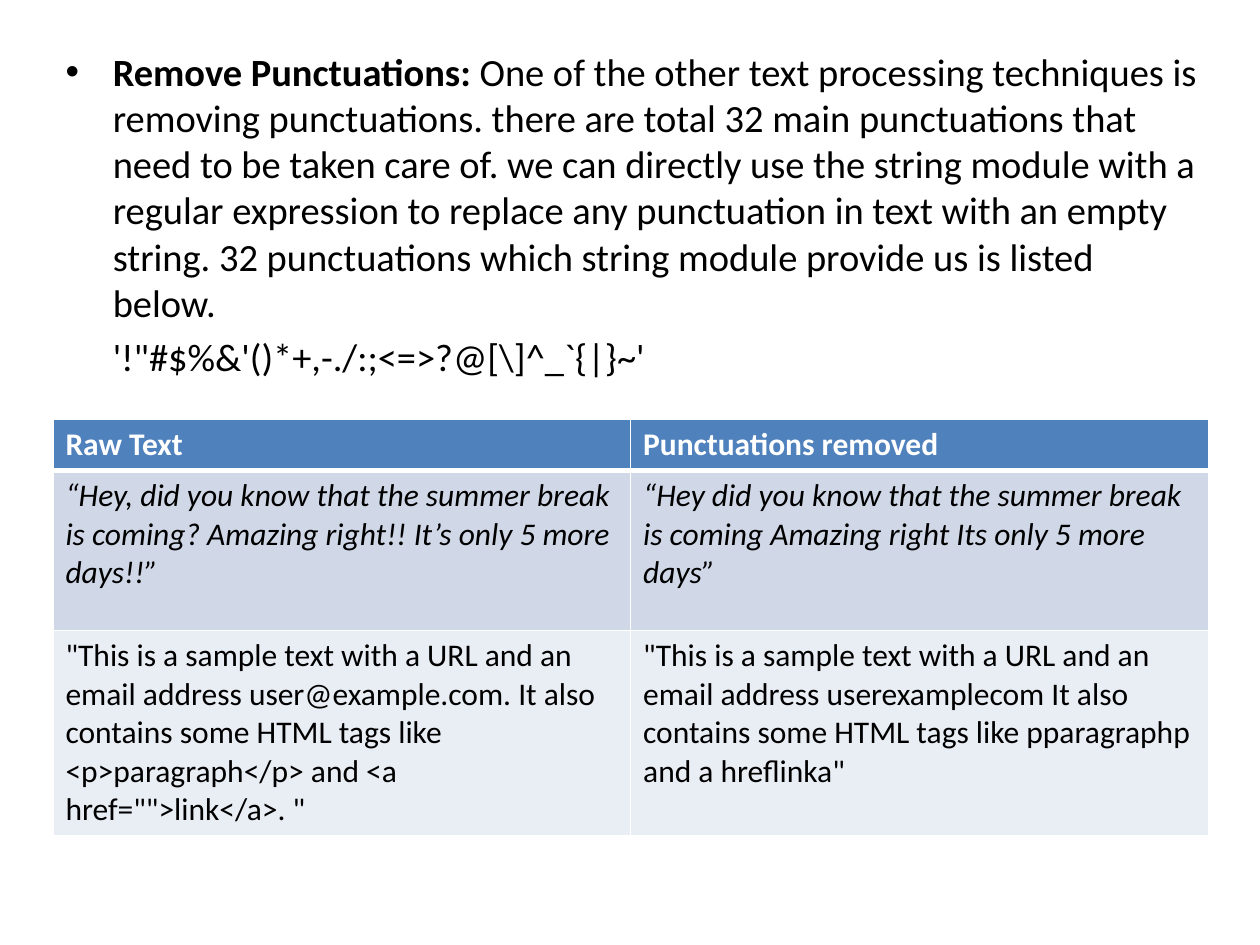
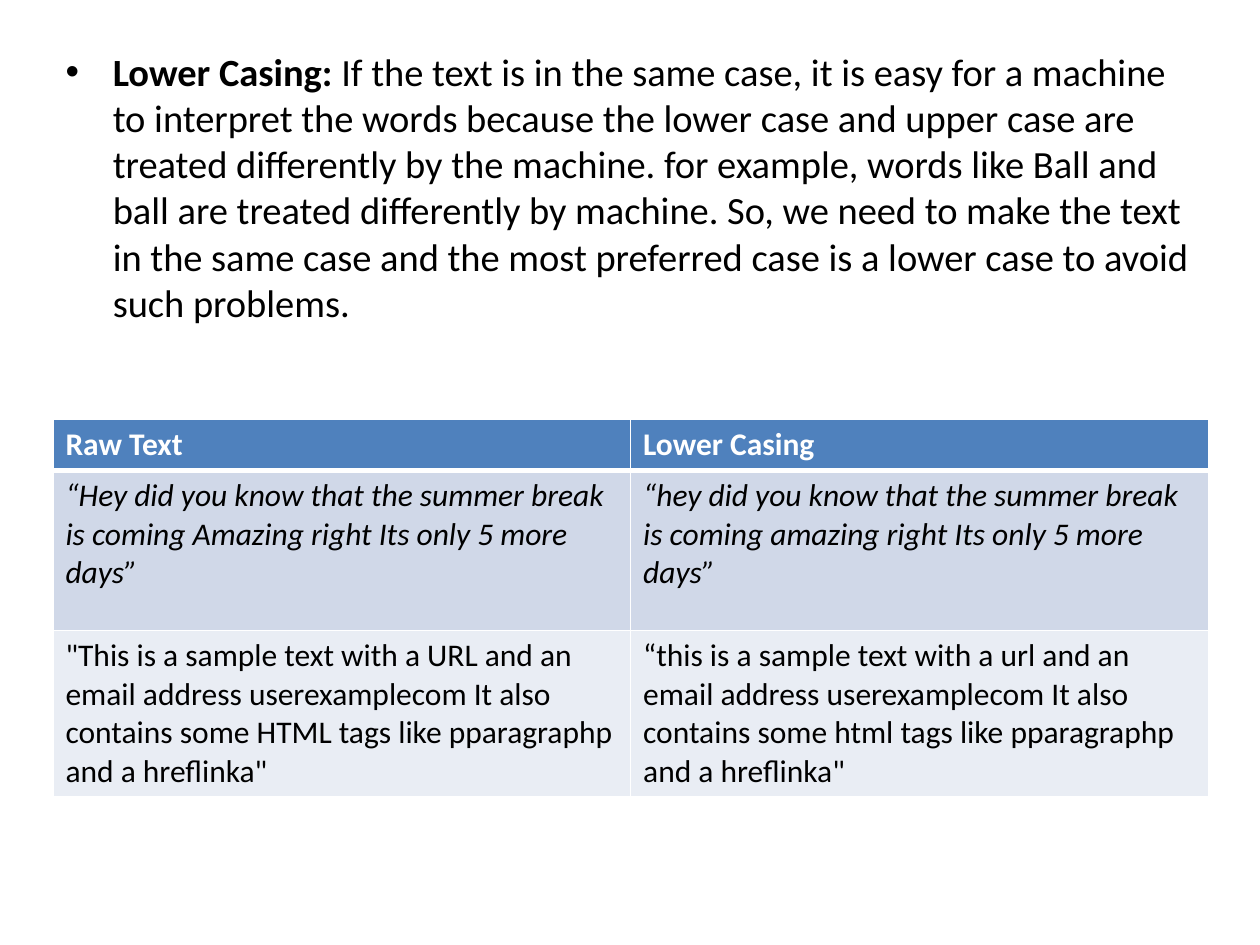
from dataclasses import dataclass
from lxml.etree import SubElement
from pptx import Presentation
from pptx.dml.color import RGBColor as Rgb
from pptx.oxml.ns import qn
from pptx.util import Inches, Pt


@dataclass(frozen=True)
class Theme:
    font: str = "Calibri"
    ink: str = "000000"
    white: str = "FFFFFF"
    head: str = "4F81BD"
    bands: tuple = ("D0D8E8", "E9EDF4")
    body: int = 22
    cell: int = 18
    left: float = 0.42


THEME = Theme()
ROWS = (0.34, 1.27, 1.08)
BARE = "“Hey did you know that the summer break is coming Amazing right Its only 5 more days”"
PLAIN = (
    '"This is a sample text with a URL and an email address userexamplecom '
    'It also contains some HTML tags like pparagraphp and a hreflinka"'
)

PUNCT = {
    "term": "Remove Punctuations:",
    "text": (
        " One of the other text processing techniques is removing punctuations. "
        "there are total 32 main punctuations that need to be taken care of. "
        "we can directly use the string module with a regular expression to replace "
        "any punctuation in text with an empty string. "
        "32 punctuations which string module provide us is listed below."
    ),
    "marks": "'!\"#$%&'()*+,-./:;<=>?@[\\]^_`{|}~'",
    "cells": (
        ("Raw Text", "Punctuations removed"),
        (
            "“Hey, did you know that the summer break is coming? "
            "Amazing right!! It’s only 5 more days!!”",
            BARE,
        ),
        (
            '"This is a sample text with a URL and an email address user@example.com. '
            "It also contains some HTML tags like <p>paragraph</p> and "
            '<a href="">link</a>. "',
            PLAIN,
        ),
    ),
}

LOWER = {
    "term": "Lower Casing:",
    "text": (
        " If the text is in the same case, it is easy for a machine to interpret "
        "the words because the lower case and upper case are treated differently "
        "by the machine. for example, words like Ball and ball are treated "
        "differently by machine. So, we need to make the text in the same case and "
        "the most preferred case is a lower case to avoid such problems."
    ),
    "marks": "",
    "cells": (
        ("Raw Text", "Lower Casing"),
        (
            BARE,
            "“hey did you know that the summer break is coming amazing right "
            "Its only 5 more days”",
        ),
        (
            PLAIN,
            "“this is a sample text with a url and an email address userexamplecom "
            'It also contains some html tags like pparagraphp and a hreflinka"',
        ),
    ),
}


def set_font(para, size, color):
    font = para.font
    font.name = THEME.font
    font.size = Pt(size)
    font.color.rgb = Rgb.from_string(color)
    return font


def add_body(slide, term, text, marks):
    title = slide.shapes.title
    title.element.getparent().remove(title.element)
    body = slide.placeholders[1]
    body.left, body.top = Inches(THEME.left), Inches(0.33)
    body.width, body.height = Inches(9.25), Inches(6.75)
    frame = body.text_frame
    para = frame.paragraphs[0]
    set_font(para, THEME.body, THEME.ink)
    para.add_run().text = term
    para.runs[0].font.bold = True
    para.add_run().text = text
    if marks:
        para = frame.add_paragraph()
        para.text = marks
        set_font(para, THEME.body, THEME.ink)
        props = para._p.get_or_add_pPr()
        props.set("indent", "0")
        props.insert(0, props.makeelement(qn("a:buNone")))


def add_edges(cell, base):
    props = cell._tc.get_or_add_tcPr()
    for side, width in (("L", 1), ("R", 1), ("T", 1), ("B", base)):
        line = SubElement(props, qn(f"a:ln{side}"), w=str(Pt(width)))
        fill = SubElement(line, qn("a:solidFill"))
        SubElement(fill, qn("a:srgbClr"), val=THEME.white)


def style_cell(cell, text, row):
    head = row == 0
    cell.text = text
    font = set_font(
        cell.text_frame.paragraphs[0], THEME.cell, THEME.white if head else THEME.ink
    )
    font.bold = head
    font.italic = row == 1
    add_edges(cell, 3 if head else 1)
    cell.fill.solid()
    color = THEME.head if head else THEME.bands[row - 1]
    cell.fill.fore_color.rgb = Rgb.from_string(color)


def add_grid(slide, cells):
    frame = slide.shapes.add_table(
        len(cells), len(cells[0]),
        Inches(THEME.left), Inches(3.33), Inches(9.17), Inches(sum(ROWS)),
    )
    table = frame.table
    for row, texts in enumerate(cells):
        table.rows[row].height = Inches(ROWS[row])
        for col, text in enumerate(texts):
            style_cell(table.cell(row, col), text, row)


def main():
    deck = Presentation()
    deck.slide_width, deck.slide_height = Inches(10), Inches(7.5)
    for topic in (PUNCT, LOWER):
        slide = deck.slides.add_slide(deck.slide_layouts[1])
        add_body(slide, topic["term"], topic["text"], topic["marks"])
        add_grid(slide, topic["cells"])
    deck.save("out.pptx")


if __name__ == "__main__":
    main()
